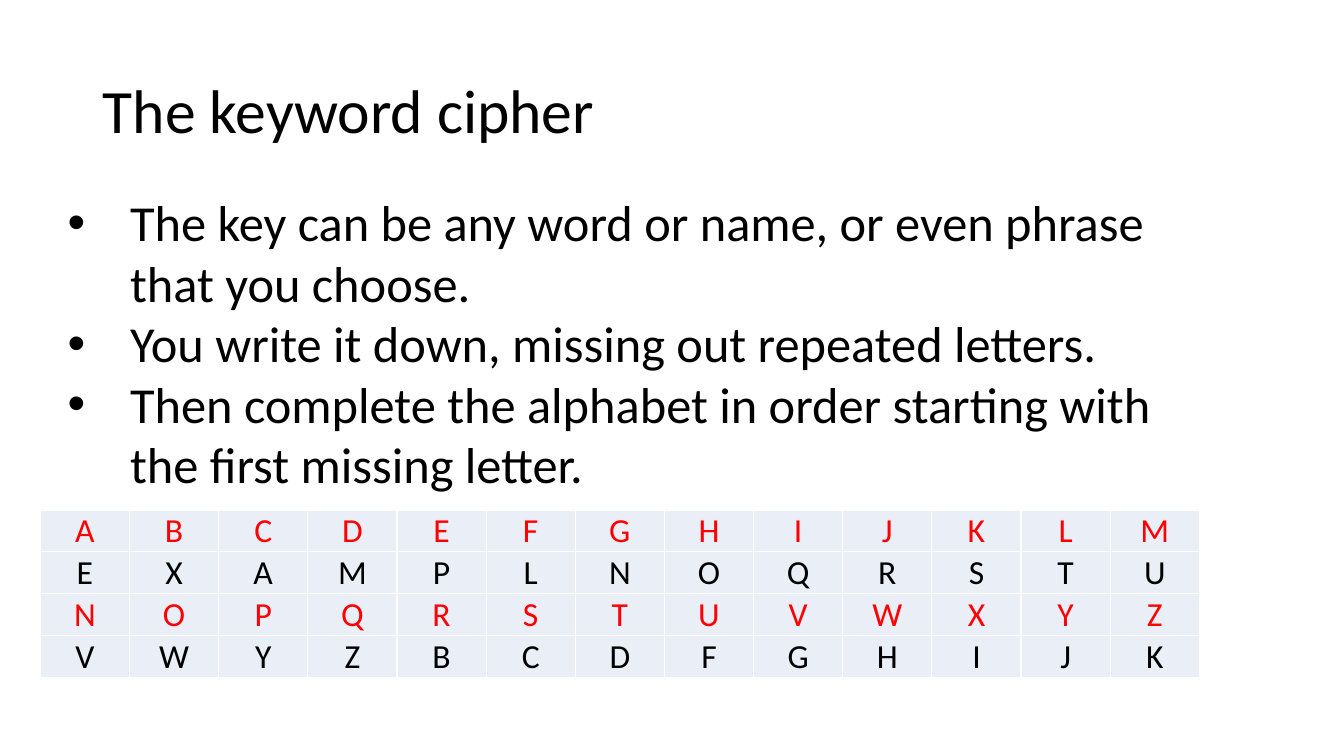
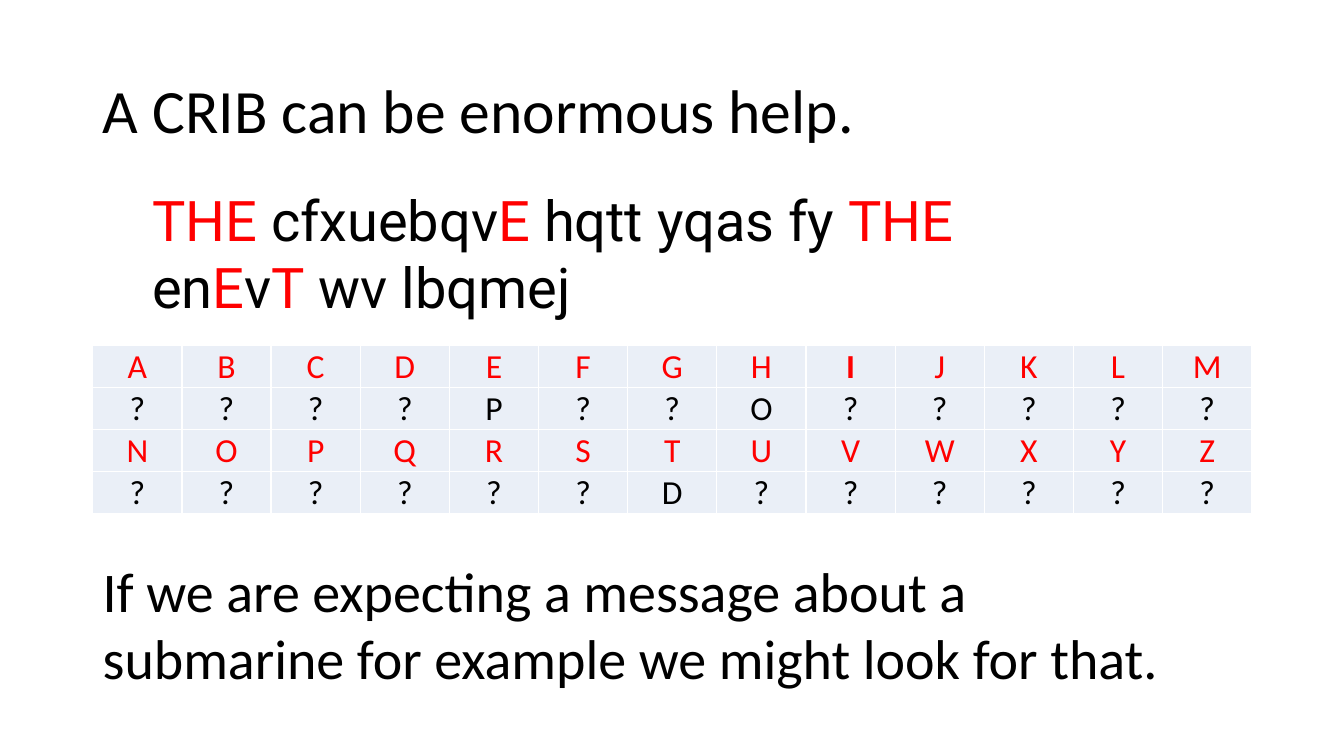
"""Build two slides about the keyword cipher."""
import itertools

import pptx
import pptx.dml.color
import pptx.enum.text
import pptx.oxml
import pptx.oxml.ns
import pptx.util

EMU_PER_PX = 9144
BLACK = pptx.dml.color.RGBColor(0x00, 0x00, 0x00)
RED = pptx.dml.color.RGBColor(0xFF, 0x00, 0x00)
WHITE = pptx.dml.color.RGBColor(0xFF, 0xFF, 0xFF)
PALE_BLUE = pptx.dml.color.RGBColor(0xEA, 0xEF, 0xF7)
BODY_FONT = "Calibri"
MESSAGE_FONT = "Roboto"
TITLE_AND_CONTENT, TITLE_ONLY = 1, 5
HALVES = ("ABCDEFGHIJKLM", "NOPQRSTUVWXYZ")
RULES = (
    "The key can be any word or name, or even phrase that you choose.",
    "You write it down, missing out repeated letters.",
    "Then complete the alphabet in order starting with the first missing letter.",
)
MESSAGE = "THE cfxuebqvE hqtt yqas fy THE enEvT wv lbqmej"
ADVICE = "If we are expecting a message about a submarine for example we might look for that."


def px(length):
    """Turn px into EMU."""
    return pptx.util.Emu(length * EMU_PER_PX)


def place(shape, left, top, width, height):
    """Set the position and size of a shape in px."""
    shape.left, shape.top = px(left), px(top)
    shape.width, shape.height = px(width), px(height)


def style_paragraph(paragraph, size, color=BLACK, name=BODY_FONT):
    """Set the font of a whole paragraph."""
    paragraph.font.size = pptx.util.Pt(size)
    paragraph.font.name = name
    paragraph.font.color.rgb = color


def add_titled_slide(presentation, layout_index, title):
    """Add a slide with the shared title style."""
    slide = presentation.slides.add_slide(presentation.slide_layouts[layout_index])
    shape = slide.shapes.title
    place(shape, 92, 40, 1150, 145)
    frame = shape.text_frame
    frame.text = title
    frame.auto_size = pptx.enum.text.MSO_AUTO_SIZE.NONE
    frame.vertical_anchor = pptx.enum.text.MSO_ANCHOR.MIDDLE
    paragraph = frame.paragraphs[0]
    paragraph.alignment = pptx.enum.text.PP_ALIGN.LEFT
    paragraph.line_spacing = 0.9
    style_paragraph(paragraph, 44)
    return slide


def set_bullet(paragraph, indent):
    """Give a paragraph a round bullet with a hanging indent in px."""
    properties = paragraph._p.get_or_add_pPr()
    properties.set("marL", str(px(indent)))
    properties.set("indent", str(-px(indent)))
    for tag, attribute, value in (("buFont", "typeface", "Arial"), ("buChar", "char", "•")):
        element = pptx.oxml.parse_xml(f'<a:{tag} {pptx.oxml.ns.nsdecls("a")} {attribute}="{value}"/>')
        properties.append(element)


def fill_bullets(shape, lines):
    """Write a bulleted list into the body placeholder."""
    place(shape, 57, 185, 1150, 313)
    frame = shape.text_frame
    frame.text = "\n".join(lines)
    frame.auto_size = pptx.enum.text.MSO_AUTO_SIZE.SHAPE_TO_FIT_TEXT
    for paragraph in frame.paragraphs:
        paragraph.space_before = pptx.util.Pt(0)
        set_bullet(paragraph, 62)
        style_paragraph(paragraph, 36)


def add_text(slide, box, text, name=BODY_FONT, capital_color=BLACK):
    """Add a wrapped text box whose capitals may have their own colour."""
    shape = slide.shapes.add_textbox(*map(px, box))
    frame = shape.text_frame
    frame.word_wrap = True
    frame.auto_size = pptx.enum.text.MSO_AUTO_SIZE.SHAPE_TO_FIT_TEXT
    paragraph = frame.paragraphs[0]
    style_paragraph(paragraph, 40, name=name)
    for is_capital, letters in itertools.groupby(text, str.isupper):
        run = paragraph.add_run()
        run.text = "".join(letters)
        run.font.color.rgb = capital_color if is_capital else BLACK


def set_borders(cell, color):
    """Draw a one point line on each side of a cell."""
    properties = cell._tc.get_or_add_tcPr()
    for side in "LRTB":
        properties.append(pptx.oxml.parse_xml(
            f'<a:ln{side} {pptx.oxml.ns.nsdecls("a")} w="{pptx.util.Pt(1)}">'
            f'<a:solidFill><a:srgbClr val="{color}"/></a:solidFill></a:ln{side}>'))


def fill_cell(cell, letter, color, bold):
    """Write and format one letter of the cipher table."""
    set_borders(cell, WHITE)
    cell.fill.solid()
    cell.fill.fore_color.rgb = PALE_BLUE
    cell.margin_left = cell.margin_right = cell.margin_top = px(1)
    cell.margin_bottom = 0
    cell.vertical_anchor = pptx.enum.text.MSO_ANCHOR.BOTTOM
    cell.text = letter
    paragraph = cell.text_frame.paragraphs[0]
    paragraph.alignment = pptx.enum.text.PP_ALIGN.CENTER
    style_paragraph(paragraph, 24, color)
    paragraph.font.bold = bold


def add_cipher_table(slide, left, top, cipher_halves, bold_letter=None):
    """Add the alphabet in red with the cipher letters below it."""
    rows = []
    for plain, cipher in zip(HALVES, cipher_halves):
        rows += [(plain, RED), (cipher, BLACK)]
    frame = slide.shapes.add_table(
        len(rows), len(HALVES[0]), px(left), px(top), px(1150), px(166))
    table = frame.table
    table.first_row = table.horz_banding = False
    for row_index, (letters, color) in enumerate(rows):
        for column_index, letter in enumerate(letters):
            fill_cell(table.cell(row_index, column_index), letter, color, letter == bold_letter)


def main():
    """Build and save the presentation."""
    presentation = pptx.Presentation()
    presentation.slide_width, presentation.slide_height = px(1333), px(750)

    slide = add_titled_slide(presentation, TITLE_AND_CONTENT, "The keyword cipher")
    fill_bullets(slide.placeholders[1], RULES)
    add_cipher_table(slide, 40, 506, ("EXAMPLNOQRSTU", "VWYZBCDFGHIJK"))

    slide = add_titled_slide(presentation, TITLE_ONLY, "A CRIB can be enormous help.")
    add_cipher_table(slide, 92, 343, ("????P??O?????", "??????D??????"), bold_letter="I")
    add_text(slide, (141, 179, 972, 145), MESSAGE, MESSAGE_FONT, RED)
    add_text(slide, (92, 547, 1119, 145), ADVICE)

    presentation.save("out.pptx")


if __name__ == "__main__":
    main()
